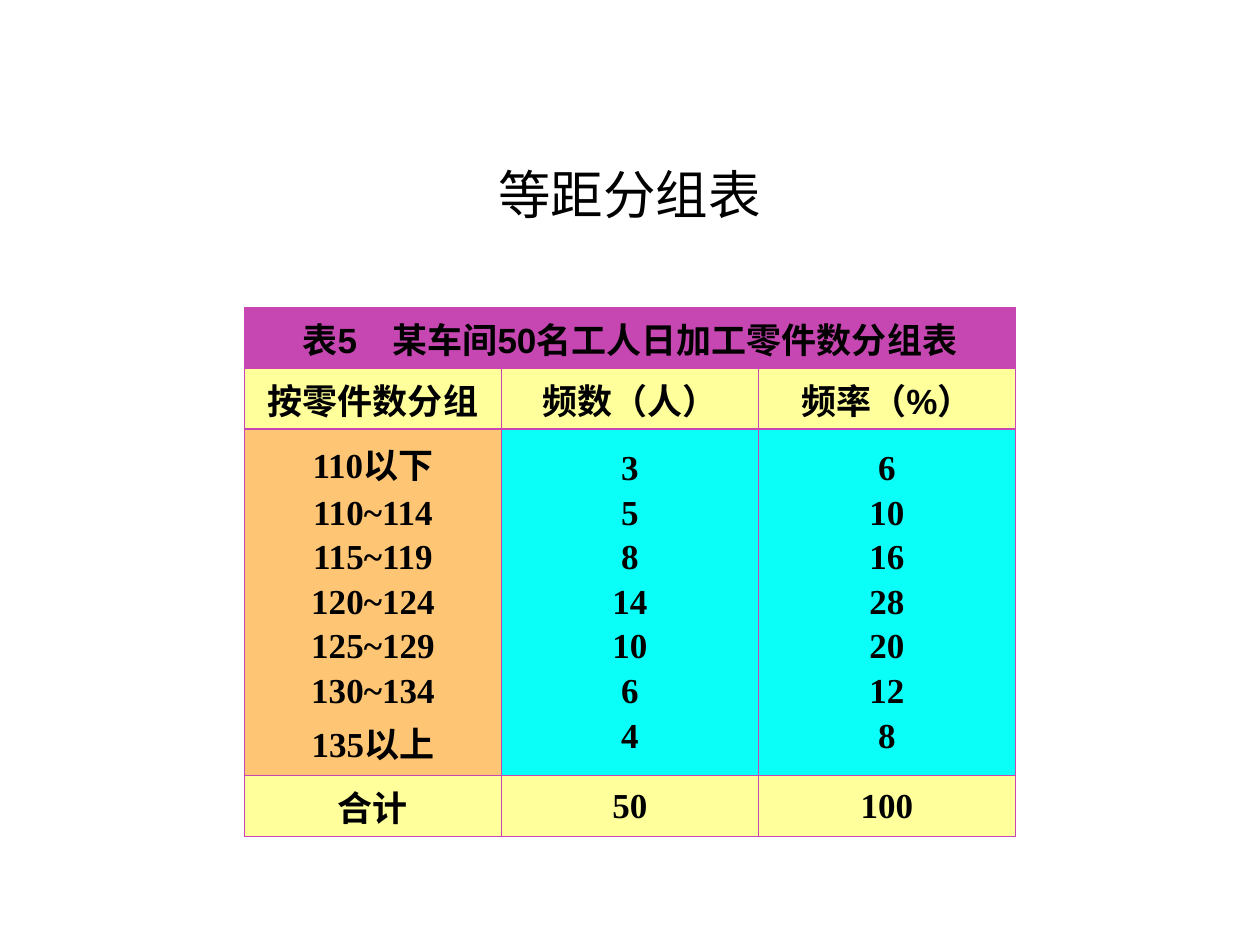
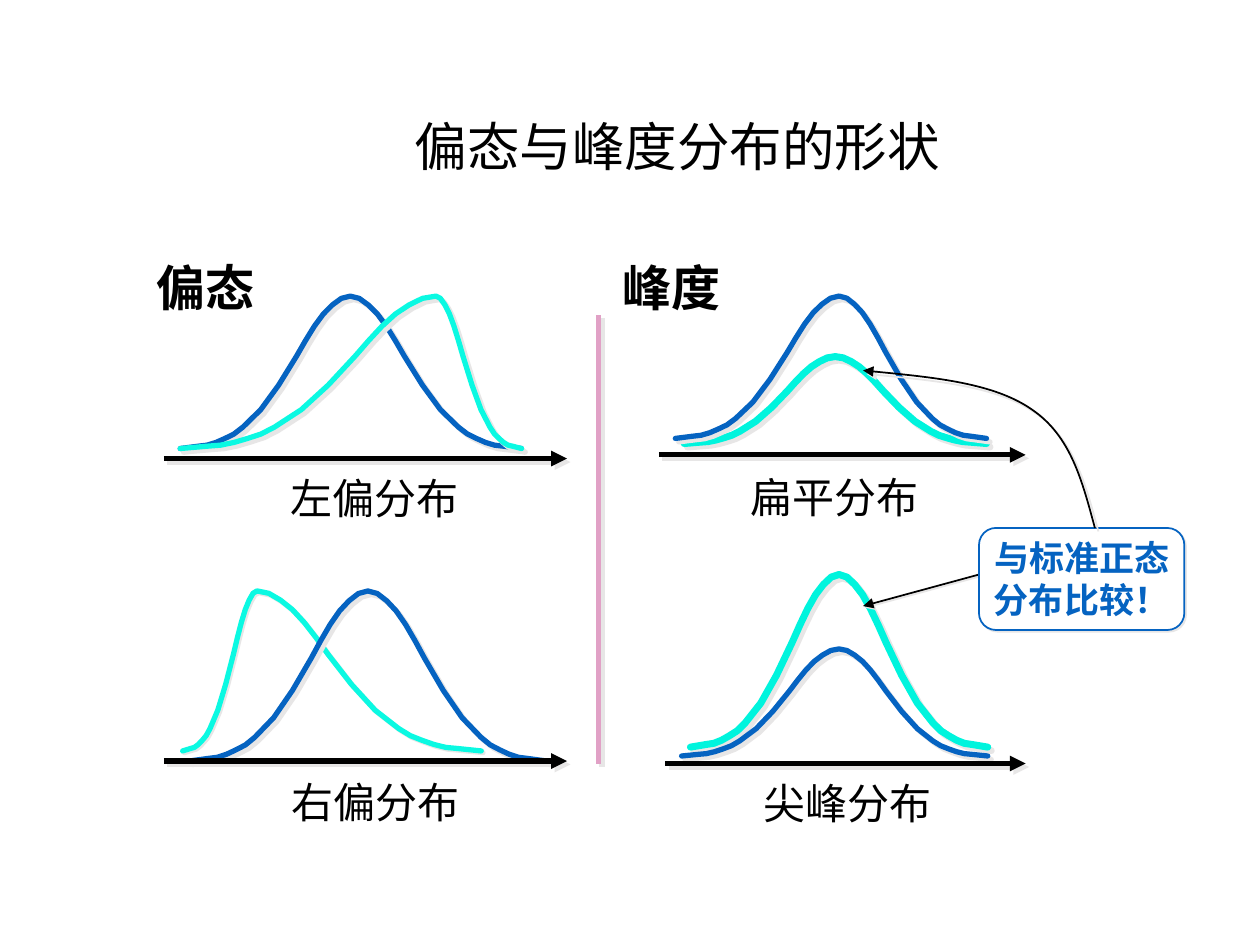
from pptx import Presentation
from pptx import util as u
from pptx.dml.color import RGBColor
from pptx.enum import shapes, text
from pptx.oxml import parse_xml
from pptx.oxml.ns import nsdecls, qn

BLACK = RGBColor(0x00, 0x00, 0x00)
WHITE = RGBColor(0xFF, 0xFF, 0xFF)
BLUE = RGBColor(0x05, 0x63, 0xC1)
CYAN = RGBColor(0x0B, 0xF9, 0xE2)
TEAL = RGBColor(0x00, 0xF4, 0xDD)
PINK = RGBColor(0xE1, 0xA1, 0xC6)
SHADOW = RGBColor(0xE7, 0xE6, 0xE6)
BORDER = RGBColor(0xC9, 0x45, 0xB3)
PURPLE = RGBColor(0xC7, 0x47, 0xB2)
YELLOW = RGBColor(0xFF, 0xFF, 0x9B)
ORANGE = RGBColor(0xFE, 0xC6, 0x74)
AQUA = RGBColor(0x0B, 0xFF, 0xF9)

TITLE_FONT, SANS, SERIF, CJK = "Calibri", "Arial", "Times New Roman", "Noto Sans CJK SC"

# Rising half of a bell: steps out of 19 across, share of the full height
BELL = [(0, 0), (2, 0.015), (3, 0.022), (4, 0.04), (5, 0.066), (6, 0.095),
        (7, 0.14), (9, 0.255), (11, 0.416), (13, 0.606), (14, 0.708),
        (15, 0.803), (16, 0.883), (17, 0.942), (18, 0.985), (19, 1)]


def set_font(p, name, size, color=BLACK, bold=False):
    p.font.name = name
    p.font.size = u.Pt(size)
    p.font.color.rgb = color
    p.font.bold = bold


def set_margins(box, x=0.07, y=0.04):
    box.margin_left = box.margin_right = u.Inches(x)
    box.margin_top = box.margin_bottom = u.Inches(y)


def new_slide(prs, title, left, top, width, height):
    s = prs.slides.add_slide(prs.slide_layouts[5])
    sp = s.shapes.title
    sp.left, sp.top, sp.width, sp.height = map(u.Inches, (left, top, width, height))
    tf = sp.text_frame
    set_margins(tf)
    tf.vertical_anchor = text.MSO_ANCHOR.MIDDLE
    tf.text = title
    p = tf.paragraphs[0]
    p.alignment = text.PP_ALIGN.CENTER
    p.line_spacing = 0.9
    set_font(p, TITLE_FONT, 30)
    return s


def add_label(s, words, left, top, width, height, size, bold=False,
              align=text.PP_ALIGN.CENTER):
    tf = s.shapes.add_textbox(*map(u.Inches, (left, top, width, height))).text_frame
    tf.word_wrap = True
    set_margins(tf)
    tf.text = words
    tf.paragraphs[0].alignment = align
    set_font(tf.paragraphs[0], SANS, size, bold=bold)


def style_line(sp, color, width, arrow=False, shadow=2.8):
    """Colour the outline, then add its arrowhead and offset shadow."""
    sp.line.color.rgb = color
    sp.line.width = u.Pt(width)
    sp_pr = sp._element.spPr
    if arrow:
        sp_pr.find(qn("a:ln")).append(
            parse_xml(f'<a:tailEnd {nsdecls("a")} type="triangle"/>'))
    sp_pr.append(parse_xml(
        f'<a:effectLst {nsdecls("a")}><a:outerShdw dist="{u.Pt(shadow)}" dir="2700000" '
        f'algn="ctr" rotWithShape="0"><a:srgbClr val="{SHADOW}"/>'
        f'</a:outerShdw></a:effectLst>'))


def add_line(s, start, end, color, width, arrow=False, shadow=2.8):
    ends = map(u.Inches, (*start, *end))
    line = s.shapes.add_connector(shapes.MSO_CONNECTOR.STRAIGHT, *ends)
    style_line(line, color, width, arrow, shadow)


def add_outline(s, points):
    """Open, unfilled outline through points given in inches."""
    start, *rest = [(u.Inches(x), u.Inches(y)) for x, y in points]
    builder = s.shapes.build_freeform(*start)
    builder.add_line_segments(rest, close=False)
    sp = builder.convert_to_shape()
    sp.fill.background()
    return sp


def add_bell(s, left, peak, right, top, base, color, width, shadow=2.8):
    def half(foot):
        return [(foot + (peak - foot) * step / 19, base - (base - top) * share)
                for step, share in BELL]

    sp = add_outline(s, half(left) + half(right)[-2::-1])
    style_line(sp, color, width, shadow=shadow)
    sp._element.spPr.find(qn("a:ln")).set("cap", "rnd")


def add_curved_arrow(s, points):
    """Bezier arrow: a start point, then triples of two controls and an end."""
    sp = add_outline(s, points)
    segments = sp._element.findall(".//" + qn("a:lnTo"))
    for i in range(0, len(segments), 3):
        curve, *others = segments[i:i + 3]
        curve.tag = qn("a:cubicBezTo")
        for other in others:
            curve.append(other[0])
            other.getparent().remove(other)
    style_line(sp, BLACK, 1, arrow=True)


def add_callout(s, words, left, top, width, height):
    sp = s.shapes.add_shape(shapes.MSO_SHAPE.FLOWCHART_ALTERNATE_PROCESS,
                            *map(u.Inches, (left, top, width, height)))
    sp.fill.solid()
    sp.fill.fore_color.rgb = WHITE
    style_line(sp, BLUE, 1, shadow=1.4)
    tf = sp.text_frame
    tf.word_wrap = True
    set_margins(tf, x=0.02)
    tf.vertical_anchor = text.MSO_ANCHOR.MIDDLE
    tf.text = words
    tf.paragraphs[0].alignment = text.PP_ALIGN.CENTER
    set_font(tf.paragraphs[0], SANS, 20, BLUE, bold=True)


def fill_cell(cell, lines, font, fill):
    set_margins(cell)
    cell.vertical_anchor = text.MSO_ANCHOR.MIDDLE
    tc_pr = cell._tc.get_or_add_tcPr()
    for side in "LRTB":
        tc_pr.append(parse_xml(
            f'<a:ln{side} {nsdecls("a")} w="{u.Pt(1)}"><a:solidFill>'
            f'<a:srgbClr val="{BORDER}"/></a:solidFill></a:ln{side}>'))
    cell.fill.solid()
    cell.fill.fore_color.rgb = fill
    cell.text = "\n".join(lines)
    for i, p in enumerate(cell.text_frame.paragraphs):
        p.alignment = text.PP_ALIGN.CENTER
        if i:
            p.space_before = u.Pt(3.3)
        set_font(p, font, 20, bold=True)


def add_frequency_table(s):
    groups = ["110以下", "110~114", "115~119", "120~124", "125~129", "130~134", "135以上"]
    counts = [3, 5, 8, 14, 10, 6, 4]
    total = sum(counts)
    shares = [100 * n // total for n in counts]
    rows = [
        (0.48, [(["表5　某车间50名工人日加工零件数分组表"], SANS, PURPLE),
                ([], SANS, PURPLE), ([], SANS, PURPLE)]),
        (0.48, [(["按零件数分组"], CJK, YELLOW), (["频数（人）"], SANS, YELLOW),
                (["频率（%）"], SANS, YELLOW)]),
        (2.75, [(groups, SERIF, ORANGE), (map(str, counts), SERIF, AQUA),
                (map(str, shares), SERIF, AQUA)]),
        (0.48, [([words], SERIF, YELLOW)
                for words in ("合计", str(total), str(sum(shares)))]),
    ]
    table = s.shapes.add_table(len(rows), 3, *map(u.Inches, (1.94, 2.44, 6.12, 4.19))).table
    for column in table.columns:
        column.width = u.Inches(2.04)
    for r, (height, cells) in enumerate(rows):
        table.rows[r].height = u.Inches(height)
        for c, (lines, font, fill) in enumerate(cells):
            fill_cell(table.cell(r, c), lines, font, fill)
    table.cell(0, 0).merge(table.cell(0, 2))


def add_panel(s, caption, caption_box, axis, bells):
    """One distribution: its curves, the axis below and a caption."""
    for bell in bells:
        add_bell(s, *bell)
    left, right, y = axis
    add_line(s, (left, y), (right, y), BLACK, 3, arrow=True)
    add_label(s, caption, *caption_box, 0.48, 24)


def build_table_slide(prs):
    s = new_slide(prs, "等距分组表", 1.62, 1.16, 6.75, 0.81)
    add_frequency_table(s)


def build_shapes_slide(prs):
    s = new_slide(prs, "偏态与峰度分布的形状", 2.47, 0.72, 5.81, 0.94)
    add_panel(s, "扁平分布", (5.85, 3.7, 1.55), (5.23, 8.14, 3.61), [
        (5.43, 6.63, 7.83, 2.83, 3.52, TEAL, 4),
        (5.36, 6.66, 7.83, 2.35, 3.48, BLUE, 3)])
    add_panel(s, "尖峰分布", (5.94, 6.13, 1.57), (5.28, 8.14, 6.06), [
        (5.48, 6.66, 7.84, 4.56, 5.93, TEAL, 4),
        (5.41, 6.66, 7.84, 5.15, 6, BLUE, 3)])
    add_panel(s, "左偏分布", (2.2, 3.71, 1.55), (1.3, 4.5, 3.64), [
        (1.43, 2.78, 4.14, 2.35, 3.56, BLUE, 3),
        (1.43, 3.46, 4.14, 2.35, 3.56, CYAN, 3)])
    add_panel(s, "右偏分布", (2.22, 6.12, 1.52), (1.3, 4.5, 6.04), [
        (1.45, 2.04, 3.82, 4.69, 5.96, CYAN, 3, 1.4),
        (1.5, 2.92, 4.34, 4.69, 6.04, BLUE, 3)])
    for heading, left in (("偏态", 1.17), ("峰度", 4.87)):
        add_label(s, heading, left, 2, 1, 0.54, 28, True, text.PP_ALIGN.LEFT)
    add_line(s, (4.75, 2.5), (4.75, 6.06), PINK, 3)
    add_line(s, (7.77, 4.56), (6.85, 4.81), BLACK, 1, arrow=True, shadow=1.4)
    add_callout(s, "与标准正态分布比较！", 7.77, 4.19, 1.63, 0.81)
    add_curved_arrow(s, [(8.69, 4.19), (8.59, 3.82), (8.5, 3.46), (8.19, 3.25),
                         (7.89, 3.04), (7.37, 2.99), (6.85, 2.94)])


def main():
    prs = Presentation()
    prs.slide_width, prs.slide_height = u.Inches(10), u.Inches(7.5)
    build_table_slide(prs)
    build_shapes_slide(prs)
    prs.save("out.pptx")


if __name__ == "__main__":
    main()
